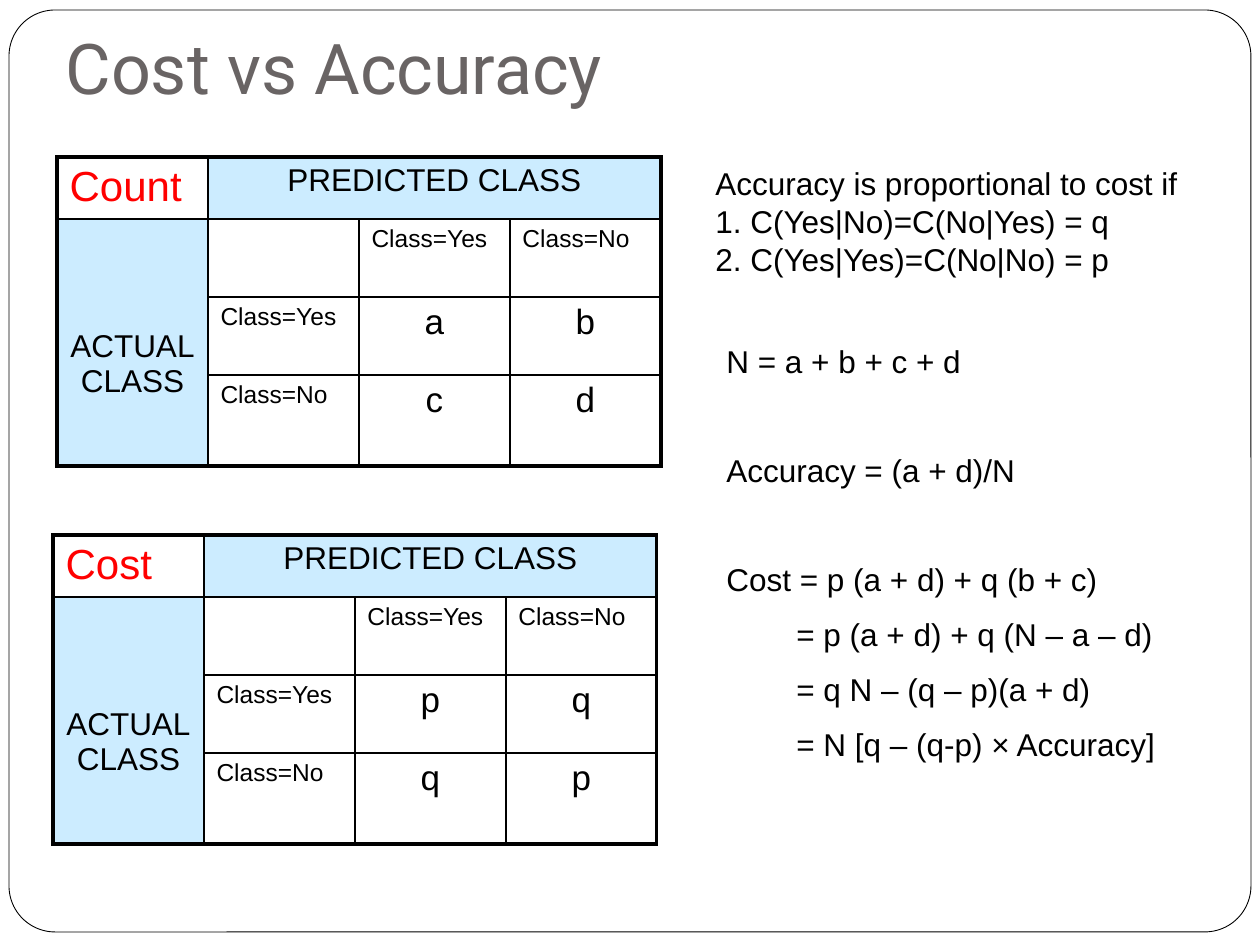
from lxml.etree import SubElement
from pptx import Presentation
from pptx.dml.color import RGBColor
from pptx.enum.shapes import MSO_SHAPE
from pptx.enum.text import MSO_ANCHOR, PP_ALIGN
from pptx.oxml.ns import qn
from pptx.util import Emu, Pt

BLACK = RGBColor(0x00, 0x00, 0x00)
WHITE = RGBColor(0xFF, 0xFF, 0xFF)
RED = RGBColor(0xFF, 0x00, 0x00)
GREY = RGBColor(0x69, 0x64, 0x64)
PALE_BLUE = RGBColor(0xCC, 0xEC, 0xFF)

COL_WIDTH = 151
ROW_HEIGHTS = (62, 78, 78, 91)
CONDITIONS = (
    "Accuracy is proportional to cost if",
    "1. C(Yes|No)=C(No|Yes) = q",
    "2. C(Yes|Yes)=C(No|No) = p",
)
FORMULAS = (
    ("N = a + b + c + d", 0, 0),
    ("Accuracy = (a + d)/N", 40.5, 0),
    ("Cost = p (a + d) + q (b + c)", 40.5, 0),
    ("= p (a + d) + q (N – a – d)", 10, 70),
    ("= q N – (q – p)(a + d)", 10, 70),
    ("= N [q – (q-p) × Accuracy]", 10, 70),
)


def px(n):
    """Turn px into EMU."""
    return Emu(round(n * 914400 / 126))


def add_lines(p, lines, size, color=BLACK, font="Arial"):
    """Add each line as a run, with line breaks between them."""
    for i, line in enumerate(lines):
        if i:
            p.add_line_break()
        r = p.add_run()
        r.text = line
        r.font.size = Pt(size)
        r.font.name = font
        r.font.color.rgb = color


def add_frame(slide):
    """Draw the rounded frame behind everything else."""
    sp = slide.shapes.add_shape(MSO_SHAPE.ROUNDED_RECTANGLE, px(9), px(10), px(1242), px(922))
    sp.adjustments[0] = 0.05
    sp.shadow.inherit = False
    sp.fill.solid()
    sp.fill.fore_color.rgb = WHITE
    sp.line.color.rgb = BLACK
    sp.line.width = Pt(0.5)
    slide.shapes._spTree.insert(2, sp._element)


def set_title(slide, text):
    """Place and format the title placeholder."""
    sp = slide.shapes.title
    sp.left, sp.top, sp.width, sp.height = px(53), px(49), px(1142), px(73)
    tf = sp.text_frame
    tf.vertical_anchor = MSO_ANCHOR.BOTTOM
    tf.margin_bottom = px(13)
    p = tf.paragraphs[0]
    p.alignment = PP_ALIGN.LEFT
    add_lines(p, [text], 40, GREY, "Roboto")


def add_textbox(slide, x, y, w, h):
    """Add a wrapping text box and return its text frame."""
    tf = slide.shapes.add_textbox(px(x), px(y), px(w), px(h)).text_frame
    tf.word_wrap = True
    return tf


def add_formulas(slide):
    """Add the derivation, one paragraph a formula."""
    tf = add_textbox(slide, 714, 336, 494, 505)
    for i, (text, space, indent) in enumerate(FORMULAS):
        p = tf.add_paragraph() if i else tf.paragraphs[0]
        p.space_before = Pt(space)
        p._p.get_or_add_pPr().set("marL", str(px(indent)))
        add_lines(p, [text], 18)


def set_borders(cell, row, col):
    """Draw thick lines on the table's edge and thin ones inside."""
    last_row = row + max(cell.span_height, 1) == 4
    last_col = col + max(cell.span_width, 1) == 4
    edges = {"a:lnL": col == 0, "a:lnR": last_col, "a:lnT": row == 0, "a:lnB": last_row}
    for tag, outer in edges.items():
        if cell.is_spanned and not outer:
            continue
        ln = SubElement(cell._tc.get_or_add_tcPr(), qn(tag), w=str(Pt(2.25 if outer else 1)))
        fill = SubElement(ln, qn("a:solidFill"))
        SubElement(fill, qn("a:srgbClr"), val=str(BLACK))


def set_cell(cell, lines, size, color=BLACK, centered=False):
    """Fill a cell with text."""
    p = cell.text_frame.paragraphs[0]
    p.alignment = PP_ALIGN.CENTER if centered else PP_ALIGN.LEFT
    add_lines(p, lines, size, color)


def add_matrix(slide, x, y, name, values):
    """Add a two-class matrix with its headings."""
    frame = slide.shapes.add_table(4, 4, px(x), px(y), px(4 * COL_WIDTH), px(sum(ROW_HEIGHTS)))
    table = frame.table
    table.first_row = table.horz_banding = False
    for column in table.columns:
        column.width = px(COL_WIDTH)
    for row, height in zip(table.rows, ROW_HEIGHTS):
        row.height = px(height)

    predicted, actual = table.cell(0, 1), table.cell(1, 0)
    predicted.merge(table.cell(0, 3))
    actual.merge(table.cell(3, 0))
    for row in range(4):
        for col in range(4):
            cell = table.cell(row, col)
            set_borders(cell, row, col)
            cell.fill.background()
    for cell in (predicted, actual):
        cell.fill.solid()
        cell.fill.fore_color.rgb = PALE_BLUE

    set_cell(table.cell(0, 0), [name], 24, RED)
    set_cell(predicted, ["PREDICTED CLASS"], 18, centered=True)
    set_cell(actual, ["ACTUAL", "CLASS"], 18, centered=True)
    actual.vertical_anchor = MSO_ANCHOR.MIDDLE
    actual.margin_top = px(50)
    for i, label in enumerate(("Class=Yes", "Class=No")):
        set_cell(table.cell(1, 2 + i), [label], 14)
        set_cell(table.cell(2 + i, 1), [label], 14)
        for j, value in enumerate(values[i]):
            set_cell(table.cell(2 + i, 2 + j), [value], 20, centered=True)


def main():
    """Build the slide and save it."""
    prs = Presentation()
    prs.slide_width, prs.slide_height = px(1260), px(945)
    slide = prs.slides.add_slide(prs.slide_layouts[5])
    add_frame(slide)
    set_title(slide, "Cost vs Accuracy")
    add_matrix(slide, 57, 157, "Count", ("ab", "cd"))
    add_matrix(slide, 53, 535, "Cost", ("pq", "qp"))
    add_formulas(slide)
    conditions = add_textbox(slide, 703, 158, 514, 126)
    add_lines(conditions.paragraphs[0], CONDITIONS, 18)
    prs.save("out.pptx")


if __name__ == "__main__":
    main()
